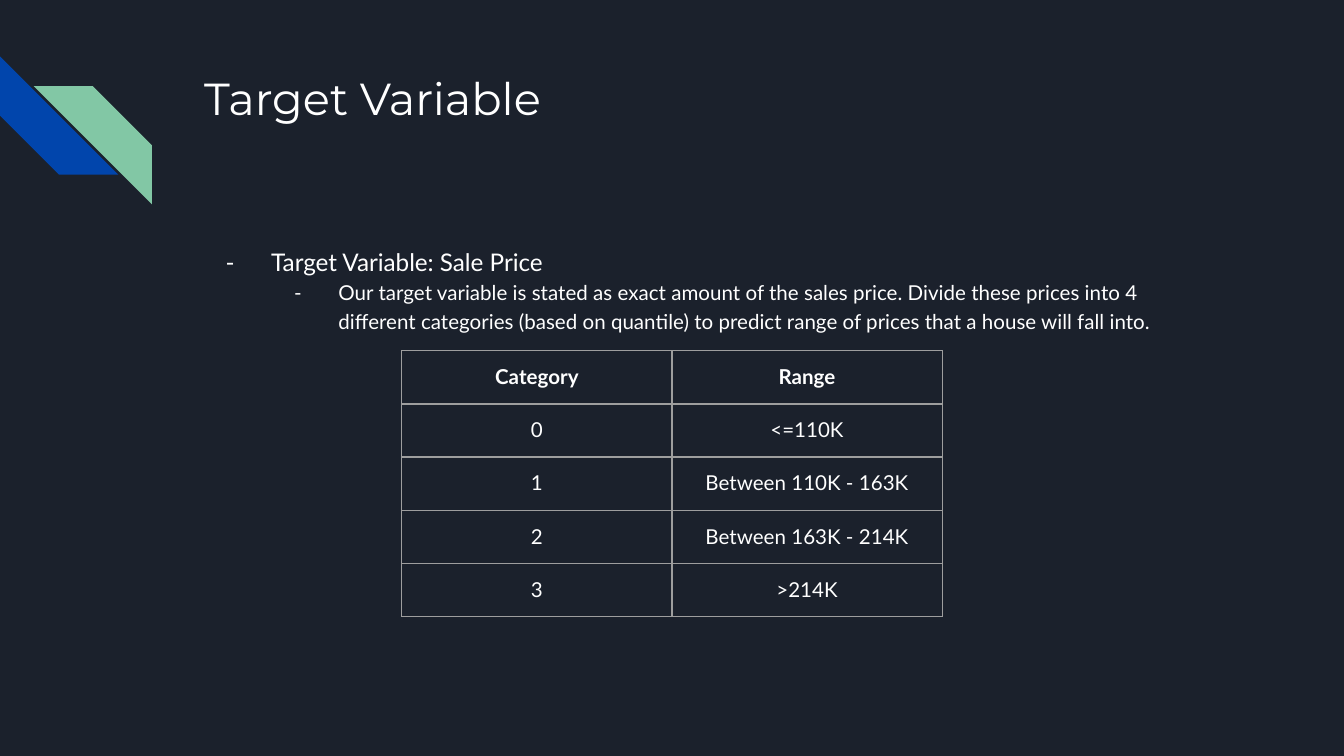
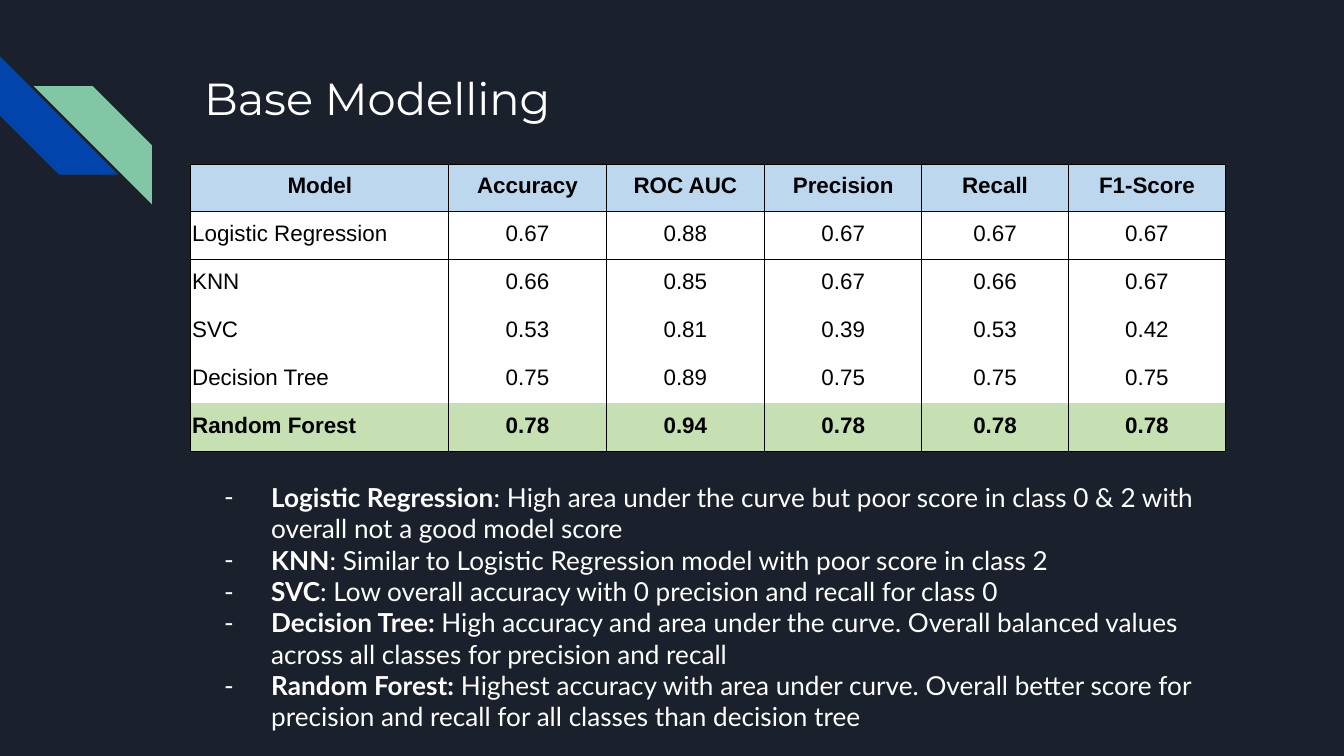
from lxml.etree import SubElement
from pptx import Presentation
from pptx.dml.color import RGBColor
from pptx.enum.shapes import MSO_SHAPE as Shape
from pptx.enum.text import MSO_ANCHOR as Anchor, PP_ALIGN as Align
from pptx.oxml.ns import qn
from pptx.util import Inches, Pt

NO_STYLE = "{2D5ABB26-0587-4C30-8999-92F81FD0307C}"
WHITE, BLACK = "FFFFFF", "000000"


def color(hex_text):
    return RGBColor.from_string(hex_text)


def apply(target, values):
    for key, value in values.items():
        setattr(target, key, value)


class Deck:
    """Holds the dark style and the slide that is being built."""

    background, blue, green = "1B212C", "0145AC", "82C7A5"
    left, width = 1.42, 7.7
    title_font = {"name": "Montserrat", "size": Pt(24)}

    def __init__(self):
        self.prs = Presentation()
        apply(self.prs, {"slide_width": Inches(10), "slide_height": Inches(10 * 9 / 16)})
        self.slide = None

    def add_slide(self, title):
        self.slide = self.prs.slides.add_slide(self.prs.slide_layouts[6])
        fill = self.slide.background.fill
        fill.solid()
        fill.fore_color.rgb = color(self.background)
        self.stripe(0, 0.42, self.blue).rotation = 270
        mirrored = self.stripe(0.25, 0.64, self.green)
        mirrored._element.spPr.find(qn("a:xfrm")).set("flipH", "1")
        heading = self.text_frame(0.43, 1).paragraphs[0]
        self.run(heading, title, self.title_font)

    def stripe(self, x, y, fill):
        stripe = self.slide.shapes.add_shape(
            Shape.DIAGONAL_STRIPE, Inches(x), Inches(y), Inches(0.88), Inches(0.88))
        stripe.adjustments[0] = 0.5
        stripe.shadow.inherit = False
        stripe.fill.solid()
        stripe.fill.fore_color.rgb = color(fill)
        stripe.line.fill.background()
        return stripe

    def text_frame(self, top, height):
        frame = self.slide.shapes.add_textbox(
            Inches(self.left), Inches(top), Inches(self.width), Inches(height)).text_frame
        sides = ("left", "right", "top", "bottom")
        apply(frame, {f"margin_{side}": Inches(0.1) for side in sides})
        apply(frame, {"word_wrap": True, "vertical_anchor": Anchor.TOP})
        return frame

    def run(self, paragraph, text, font, ink=WHITE):
        run = paragraph.add_run()
        run.text = text
        apply(run.font, font)
        run.font.color.rgb = color(ink)

    def bullets(self, top, height, items, spacing=1.0):
        frame = self.text_frame(top, height)
        for number, (level, size, hanging, parts) in enumerate(items):
            paragraph = frame.add_paragraph() if number else frame.paragraphs[0]
            apply(paragraph, {"level": level, "line_spacing": spacing})
            props = paragraph._p.get_or_add_pPr()
            props.set("marL", str(Inches(0.5 * (level + 1))))
            props.set("indent", str(-Inches(hanging)))
            SubElement(SubElement(props, qn("a:buClr")), qn("a:srgbClr")).set("val", WHITE)
            SubElement(props, qn("a:buFont")).set("typeface", "Lato")
            SubElement(props, qn("a:buChar")).set("char", "-")
            for text, bold in parts:
                self.run(paragraph, text, {"name": "Lato", "size": Pt(size), "bold": bold})

    def table(self, x, y, widths, height, rows):
        grid = self.slide.shapes.add_table(
            len(rows), len(widths), Inches(x), Inches(y),
            Inches(sum(widths)), Inches(height)).table
        apply(grid, {"first_row": False, "horz_banding": False})
        grid._tbl.tblPr.find(qn("a:tableStyleId")).text = NO_STYLE
        for column, width in zip(grid.columns, widths):
            column.width = Inches(width)
        for row in grid.rows:
            row.height = Inches(height / len(rows))
        return grid

    def cell(self, cell, text, font, ink, layout, paragraph_format, border, edges, fill=None):
        apply(cell, layout)
        paragraph = cell.text_frame.paragraphs[0]
        apply(paragraph, paragraph_format)
        self.run(paragraph, text, font, ink)
        line_color, points = border
        props = cell._tc.get_or_add_tcPr()
        for edge in edges:
            line = SubElement(props, qn(f"a:ln{edge}"))
            line.set("w", str(Pt(points)))
            paint = SubElement(line, qn("a:solidFill"))
            SubElement(paint, qn("a:srgbClr")).set("val", line_color)
        if fill:
            cell.fill.solid()
            cell.fill.fore_color.rgb = color(fill)
        else:
            cell.fill.background()

    def category_table(self, rows):
        grid = self.table(2.99, 2.61, [2.01, 2.01], 1.98, rows)
        layout = {f"margin_{side}": Inches(0.1) for side in ("left", "right", "top", "bottom")}
        for r, row in enumerate(rows):
            font = {"name": "Lato", "size": Pt(11), "bold": r == 0}
            for c, text in enumerate(row):
                self.cell(grid.cell(r, c), text, font, WHITE, layout,
                          {"alignment": Align.CENTER}, ("9E9E9E", 0.75), "LRTB")

    def score_table(self, rows):
        widths = [1.92, 1.17, 1.18, 1.17, 1.09, 1.17]
        grid = self.table(self.left, 1.22, widths, 2.14, rows)
        layout = {f"margin_{side}": Inches(0.01) for side in ("left", "right", "top")}
        layout.update(margin_bottom=Inches(0.1), vertical_anchor=Anchor.BOTTOM)
        last = len(rows) - 1
        fills = {0: "BDD7EE", last: "C6E0B4"}
        edges = {0: "LRTB", 1: "LRTB", last: "LRB"}
        centred = {"alignment": Align.CENTER, "line_spacing": 1.15}
        for r, row in enumerate(rows):
            font = {"name": "Arial", "size": Pt(12), "bold": r in fills}
            for c, text in enumerate(row):
                is_label = r > 0 and c == 0
                self.cell(grid.cell(r, c), text, font, BLACK, layout,
                          {"alignment": Align.LEFT} if is_label else centred,
                          (BLACK, 0.5), edges.get(r, "LR"), fills.get(r, WHITE))


deck = Deck()

deck.add_slide("Target Variable")
deck.bullets(1.71, 3.18, [
    (0, 13, 0.34, [("Target Variable: Sale Price", False)]),
    (1, 11, 0.33, [("Our target variable is stated as exact amount of the sales price. "
                    "Divide these prices into 4 different categories (based on quantile) "
                    "to predict range of prices that a house will fall into.", False)]),
], spacing=1.15)
deck.category_table([
    ("Category", "Range"),
    ("0", "<=110K"),
    ("1", "Between 110K - 163K"),
    ("2", "Between 163K - 214K"),
    ("3", ">214K"),
])

deck.add_slide("Base Modelling")
deck.score_table([
    ("Model", "Accuracy", "ROC AUC", "Precision", "Recall", "F1-Score"),
    ("Logistic Regression", "0.67", "0.88", "0.67", "0.67", "0.67"),
    ("KNN", "0.66", "0.85", "0.67", "0.66", "0.67"),
    ("SVC", "0.53", "0.81", "0.39", "0.53", "0.42"),
    ("Decision Tree", "0.75", "0.89", "0.75", "0.75", "0.75"),
    ("Random Forest", "0.78", "0.94", "0.78", "0.78", "0.78"),
])
findings = [
    ("Logistic Regression", ": High area under the curve but poor score in class 0 & 2 "
     "with overall not a good model score"),
    ("KNN", ": Similar to Logistic Regression model with poor score in class 2"),
    ("SVC", ": Low overall accuracy with 0 precision and recall for class 0"),
    ("Decision Tree: ", "High accuracy and area under the curve. Overall balanced values "
     "across all classes for precision and recall"),
    ("Random Forest:", " Highest accuracy with area under curve. Overall better score for "
     "precision and recall for all classes than decision tree"),
]
deck.bullets(3.48, 2.09, [
    (0, 14, 0.35, [(model, True), (finding, False)]) for model, finding in findings])

deck.prs.save("out.pptx")
